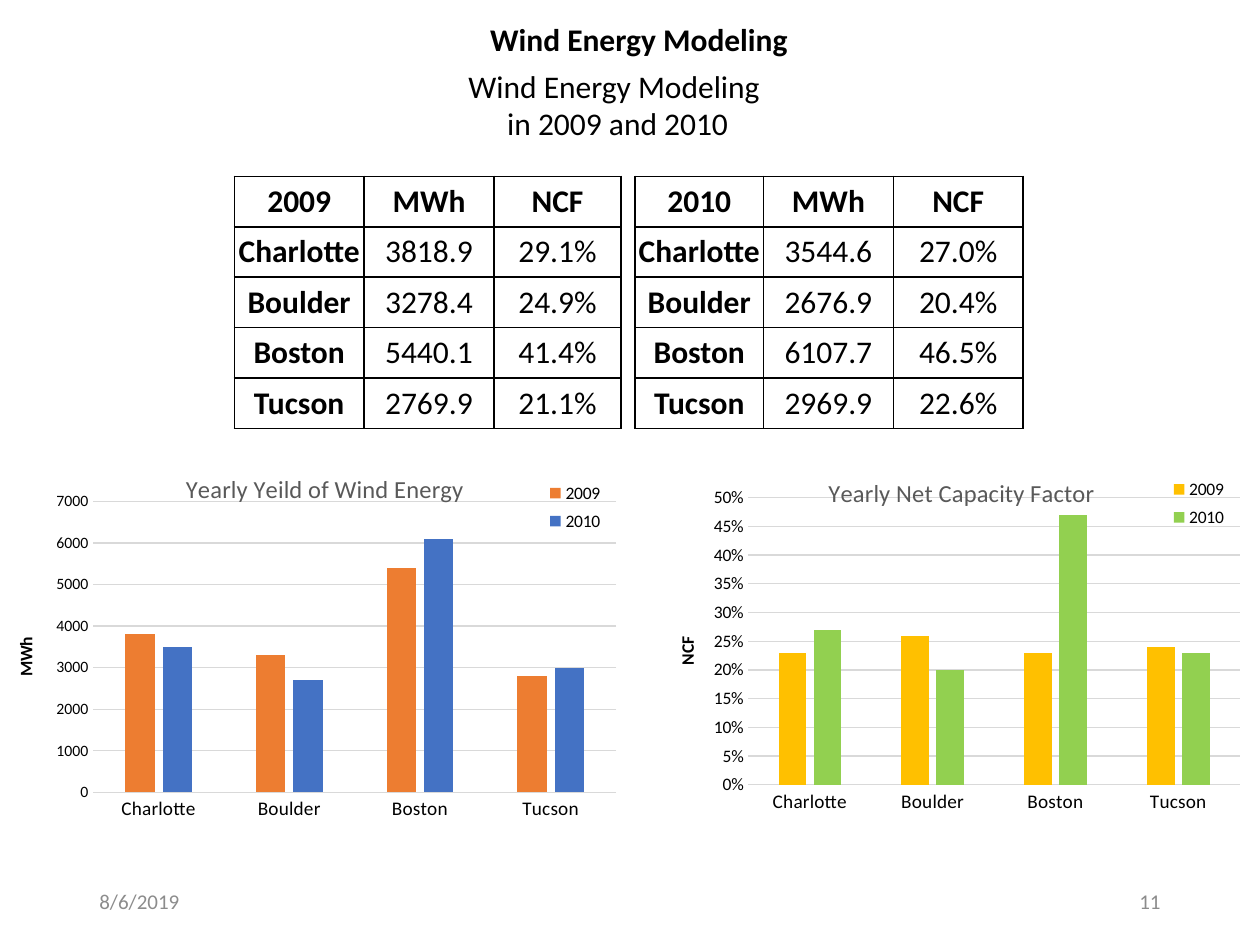
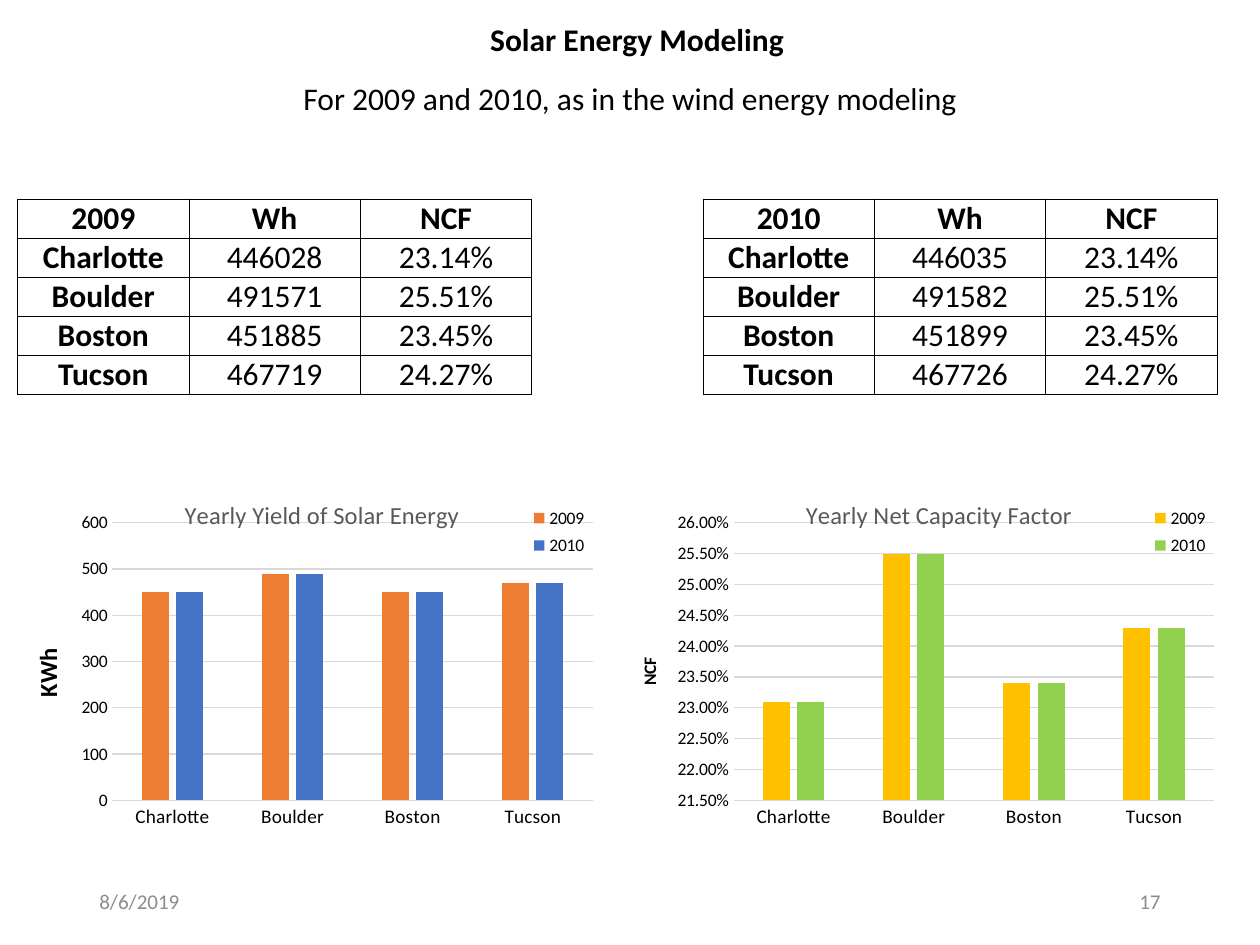
"""Build the wind and solar energy modeling slides."""
from pptx import Presentation
from pptx.chart.data import CategoryChartData
from pptx.dml.color import RGBColor
from pptx.enum.chart import XL_CHART_TYPE, XL_LEGEND_POSITION, XL_TICK_MARK
from pptx.enum.text import MSO_ANCHOR, MSO_AUTO_SIZE, PP_ALIGN
from pptx.oxml import parse_xml
from pptx.oxml.ns import nsdecls, qn
from pptx.util import Inches, Pt

COLUMNS = XL_CHART_TYPE.COLUMN_CLUSTERED
LEGEND_RIGHT = XL_LEGEND_POSITION.RIGHT
NO_TICK = XL_TICK_MARK.NONE
MIDDLE, TOP = MSO_ANCHOR.MIDDLE, MSO_ANCHOR.TOP
NO_FIT = MSO_AUTO_SIZE.NONE
LEFT, CENTER, RIGHT = PP_ALIGN.LEFT, PP_ALIGN.CENTER, PP_ALIGN.RIGHT

FONT = "Calibri"
BLACK, GREY, TITLE_GREY, GRID_GREY = "000000", "8C8C8C", "595959", "D9D9D9"
YIELD_COLORS = ("ED7D31", "4472C4")
FACTOR_COLORS = ("FFC000", "92D050")
PLOT = (0.16, 0.11, 0.78, 0.76)
DATE = "8/6/2019"

CITIES = ("Charlotte", "Boulder", "Boston", "Tucson")
WIND = {
    "2009": [("3818.9", "29.1%"), ("3278.4", "24.9%"), ("5440.1", "41.4%"), ("2769.9", "21.1%")],
    "2010": [("3544.6", "27.0%"), ("2676.9", "20.4%"), ("6107.7", "46.5%"), ("2969.9", "22.6%")],
}
SOLAR = {
    "2009": [("446028", "23.14%"), ("491571", "25.51%"), ("451885", "23.45%"), ("467719", "24.27%")],
    "2010": [("446035", "23.14%"), ("491582", "25.51%"), ("451899", "23.45%"), ("467726", "24.27%")],
}


def year_rows(readings, year, unit):
    """Return the table rows of one year."""
    return [(year, unit, "NCF")] + [(city, *pair) for city, pair in zip(CITIES, readings[year])]


SLIDES = [
    {
        "title": "Wind Energy Modeling", "title_at": (3.79, 0.11, 2.64, 0.4), "number": "11",
        "subtitle": [("Wind Energy Modeling", LEFT), (" in 2009 and 2010", CENTER)],
        "subtitle_at": (3.62, 0.48, 2.54, 0.71),
        "tables": [
            {"rows": year_rows(WIND, "2009", "MWh"), "at": (1.86, 1.4), "columns": (1.03, 1.03, 1.01),
             "row": 0.4, "inset": 0.02, "line": 1},
            {"rows": year_rows(WIND, "2010", "MWh"), "at": (5.04, 1.4), "columns": (1.02, 1.03, 1.03),
             "row": 0.4, "inset": 0.02, "line": 1},
        ],
        "charts": [
            {"title": "Yearly Net Capacity Factor", "title_at": (0.28, 0.04), "at": (5.14, 3.62, 5, 3),
             "colors": FACTOR_COLORS,
             "series": {"2009": (0.23, 0.26, 0.23, 0.24), "2010": (0.27, 0.2, 0.47, 0.23)},
             "scale": (0, 0.5, 0.05), "format": "0%", "label_size": 10, "plot": PLOT,
             "unit": "NCF", "unit_size": 10, "unit_at": (0.04, 0.47), "legend_at": (0.81, 0.04)},
            {"title": "Yearly Yeild of Wind Energy", "title_at": (0.27, 0.03), "at": (0.09, 3.62, 5, 3),
             "colors": YIELD_COLORS,
             "series": {"2009": (3800, 3300, 5400, 2800), "2010": (3500, 2700, 6100, 3000)},
             "scale": (0, 7000, 1000), "format": "0", "label_size": 9,
             "plot": (0.13, 0.12, 0.83, 0.77),
             "unit": "MWh", "unit_size": 10, "unit_at": (0, 0.47), "legend_at": (0.83, 0.05)},
        ],
    },
    {
        "title": "Solar Energy Modeling", "title_at": (3.79, 0.11, 2.55, 0.4), "number": "17",
        "subtitle": [("For 2009 and 2010, as in the wind energy modeling", LEFT)],
        "subtitle_at": (2.31, 0.58, 5.51, 0.4),
        "tables": [
            {"rows": [(*first, "", *second) for first, second in
                      zip(year_rows(SOLAR, "2009", "Wh"), year_rows(SOLAR, "2010", "Wh"))],
             "at": (0.14, 1.58), "columns": (1.36,) * 7, "row": 0.31, "inset": 0, "line": 0.5},
        ],
        "charts": [
            {"title": "Yearly Yield of Solar Energy", "title_at": (0.27, 0.03), "at": (0.11, 3.83, 4.89, 2.9),
             "colors": YIELD_COLORS,
             "series": dict.fromkeys(SOLAR, (450, 490, 450, 470)),
             "scale": (0, 600, 100), "format": "0", "label_size": 10, "plot": PLOT,
             "unit": "KWh", "unit_size": 14, "unit_at": (0.02, 0.44), "legend_at": (0.82, 0.05)},
            {"title": "Yearly Net Capacity Factor", "title_at": (0.27, 0.03), "at": (5.04, 3.83, 4.89, 2.9),
             "colors": FACTOR_COLORS,
             "series": dict.fromkeys(SOLAR, (0.231, 0.255, 0.234, 0.243)),
             "scale": (0.215, 0.26, 0.005), "format": "0.00%", "label_size": 10, "plot": PLOT,
             "unit": "NCF", "unit_size": 10, "unit_at": (0, 0.47), "legend_at": (0.82, 0.05)},
        ],
    },
]


def color(value):
    """Turn a hex string into a colour."""
    return RGBColor.from_string(value)


def style_font(font, size, ink=BLACK, bold=False):
    """Apply the shared typeface with size, colour and weight."""
    font.name, font.size, font.bold = FONT, Pt(size), bold
    font.color.rgb = color(ink)


def write(frame, lines, size, ink=BLACK, bold=False):
    """Write aligned lines into a text frame."""
    for index, (line, align) in enumerate(lines):
        paragraph = frame.add_paragraph() if index else frame.paragraphs[0]
        paragraph.alignment = align
        run = paragraph.add_run()
        run.text = line
        style_font(run.font, size, ink, bold)


def add_text(slide, at, lines, size, ink=BLACK, anchor=TOP):
    """Add an unwrapped text box."""
    frame = slide.shapes.add_textbox(*map(Inches, at)).text_frame
    frame.word_wrap = False
    frame.vertical_anchor = anchor
    write(frame, lines, size, ink)


def add_title(slide, text, at):
    """Place and fill the title placeholder."""
    title = slide.shapes.title
    title.left, title.top, title.width, title.height = map(Inches, at)
    frame = title.text_frame
    frame.word_wrap = False
    frame.auto_size = NO_FIT
    frame.vertical_anchor = TOP
    write(frame, [(text, LEFT)], 18, bold=True)


def add_borders(cell, width):
    """Draw cell borders, only at the sides when the cell is blank."""
    properties = cell._tc.get_or_add_tcPr()
    for side in "LRTB":
        visible = cell.text or side in "LR"
        fill = f'<a:solidFill><a:srgbClr val="{BLACK}"/></a:solidFill>' if visible else "<a:noFill/>"
        properties.append(parse_xml(f'<a:ln{side} {nsdecls("a")} w="{Pt(width)}">{fill}</a:ln{side}>'))


def add_readings(slide, rows, at, columns, row, inset, line):
    """Add a ruled table with bold headings and city names."""
    size = (sum(columns), row * len(rows))
    table = slide.shapes.add_table(len(rows), len(columns), *map(Inches, at + size)).table
    table.first_row = table.horz_banding = False
    for column, width in zip(table.columns, columns):
        column.width = Inches(width)
    for r, values in enumerate(rows):
        table.rows[r].height = Inches(row)
        for c, value in enumerate(values):
            cell = table.cell(r, c)
            cell.margin_left = cell.margin_right = Inches(inset)
            cell.margin_top = cell.margin_bottom = Inches(inset)
            cell.vertical_anchor = MIDDLE
            if value:
                write(cell.text_frame, [(value, CENTER)], 18, bold=r == 0 or value in CITIES)
            add_borders(cell, line)
            cell.fill.background()


def set_layout(element, x, y, w=None, h=None, inner=False):
    """Give a chart part a manual position in fractions of the chart."""
    for old in element.findall(qn("c:layout")):
        element.remove(old)
    entries = '<c:layoutTarget val="inner"/>' if inner else ""
    entries += '<c:xMode val="edge"/><c:yMode val="edge"/>'
    for tag, value in zip("xywh", (x, y, w, h)):
        if value is not None:
            entries += f'<c:{tag} val="{value}"/>'
    layout = parse_xml(f'<c:layout {nsdecls("c")}><c:manualLayout>{entries}</c:manualLayout></c:layout>')
    overlay = element.find(qn("c:overlay"))
    if overlay is None:
        element.insert(0, layout)
    else:
        overlay.addprevious(layout)


def style_axes(chart, spec):
    """Format both axes and the unit title."""
    cities, amounts = chart.category_axis, chart.value_axis
    for axis, size in ((cities, 11), (amounts, spec["label_size"])):
        axis.major_tick_mark = axis.minor_tick_mark = NO_TICK
        style_font(axis.tick_labels.font, size)
    amounts.minimum_scale, amounts.maximum_scale, amounts.major_unit = spec["scale"]
    amounts.tick_labels.number_format = spec["format"]
    amounts.tick_labels.number_format_is_linked = False
    amounts.format.line.fill.background()
    for line in (cities.format.line, amounts.major_gridlines.format.line):
        line.color.rgb = color(GRID_GREY)
        line.width = Pt(0.75)
    unit = amounts.axis_title
    write(unit.text_frame, [(spec["unit"], CENTER)], spec["unit_size"], bold=True)
    body = unit.text_frame._txBody.find(qn("a:bodyPr"))
    body.set("rot", "-5400000")
    body.set("vert", "horz")
    set_layout(unit._element, *spec["unit_at"])


def add_yearly_chart(slide, spec):
    """Add a column chart comparing the two years by city."""
    data = CategoryChartData(number_format=spec["format"])
    data.categories = CITIES
    for year, values in spec["series"].items():
        data.add_series(year, values)
    chart = slide.shapes.add_chart(COLUMNS, *map(Inches, spec["at"]), data).chart
    style_font(chart.font, 10)
    chart.has_title = True
    write(chart.chart_title.text_frame, [(spec["title"], CENTER)], 14, TITLE_GREY)
    set_layout(chart.chart_title._element, *spec["title_at"])
    chart.has_legend = True
    chart.legend.position = LEGEND_RIGHT
    chart.legend.include_in_layout = False
    style_font(chart.legend.font, 10)
    set_layout(chart.legend._element, *spec["legend_at"], 0.13, 0.17)
    plot = chart.plots[0]
    plot.gap_width, plot.overlap, plot.vary_by_categories = 219, -27, False
    for series, ink in zip(plot.series, spec["colors"]):
        series.format.fill.solid()
        series.format.fill.fore_color.rgb = color(ink)
    style_axes(chart, spec)
    set_layout(chart._chartSpace.chart.plotArea, *spec["plot"], inner=True)


def main():
    """Build and save the slides."""
    deck = Presentation()
    deck.slide_width, deck.slide_height = Inches(10), Inches(7.5)
    for content in SLIDES:
        slide = deck.slides.add_slide(deck.slide_layouts.get_by_name("Title Only"))
        add_title(slide, content["title"], content["title_at"])
        add_text(slide, content["subtitle_at"], content["subtitle"], 18)
        for table in content["tables"]:
            add_readings(slide, **table)
        for spec in content["charts"]:
            add_yearly_chart(slide, spec)
        for left, text, align in ((0.69, DATE, LEFT), (7.06, content["number"], RIGHT)):
            add_text(slide, (left, 6.95, 2.25, 0.4), [(text, align)], 12, GREY, MIDDLE)
    deck.save("out.pptx")


if __name__ == "__main__":
    main()
